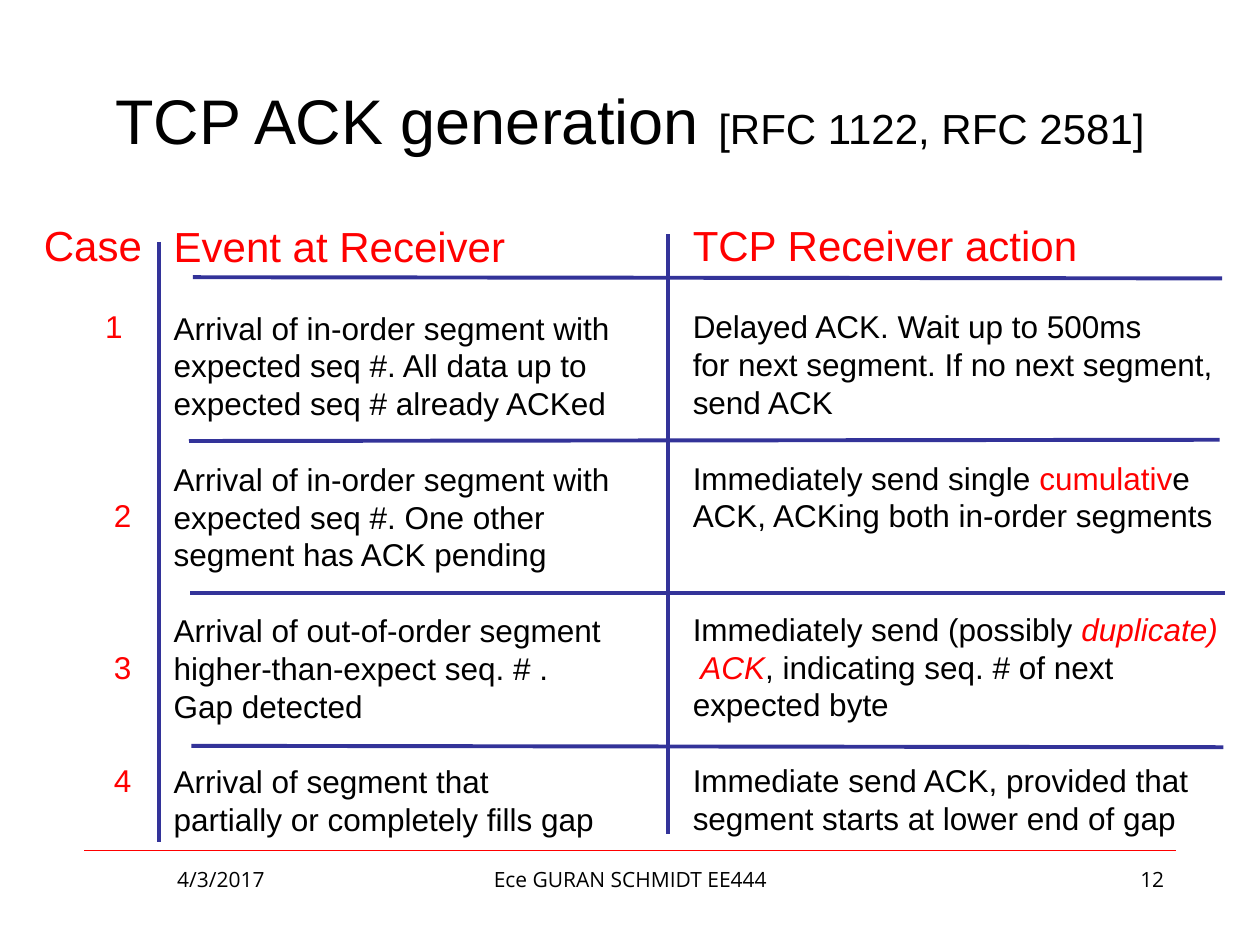
import pptx
import pptx.dml.color
import pptx.enum.shapes
import pptx.enum.text
import pptx.oxml.ns
import pptx.util
from lxml import etree

Pt = pptx.util.Pt
ALIGN = pptx.enum.text.PP_ALIGN
ANCHOR = pptx.enum.text.MSO_ANCHOR
BLACK, RED, NAVY = "000000", "FF0000", "333399"
LEADING = 1.2


def rgb(value):
    return pptx.dml.color.RGBColor.from_string(value)


class SlideBuilder:
    """Hold the slide and its type style, and add each kind of element."""

    def __init__(self, prs, font="Arial", heading=24, body=18):
        self.s = prs.slides.add_slide(prs.slide_layouts[6])
        self.font, self.heading, self.body = font, heading, body

    def line(self, x1, y1, x2, y2, color=NAVY, width=2.25):
        sp = self.s.shapes.add_connector(
            pptx.enum.shapes.MSO_CONNECTOR.STRAIGHT, Pt(x1), Pt(y1), Pt(x2), Pt(y2))
        sp.line.color.rgb = rgb(color)
        sp.line.width = Pt(width)
        etree.SubElement(sp._element.spPr, pptx.oxml.ns.qn("a:effectLst"))

    def box(self, x, y, w, h, anchor=ANCHOR.TOP, wrap=True):
        tf = self.s.shapes.add_textbox(Pt(x), Pt(y), Pt(w), Pt(h)).text_frame
        tf.word_wrap = wrap
        tf.vertical_anchor = anchor
        return tf

    def run(self, p, text, size, color=BLACK, italic=False, font=None):
        r = p.add_run()
        r.text = text
        r.font.name = font or self.font
        r.font.size = Pt(size)
        r.font.color.rgb = rgb(color)
        r.font.italic = italic

    def label(self, x, y, w, h, runs, align, anchor=ANCHOR.TOP, font=None):
        p = self.box(x, y, w, h, anchor).paragraphs[0]
        p.alignment = align
        for text, size in runs:
            self.run(p, text, size, font=font)

    def column(self, x, y, w, h, heading, blocks):
        tf = self.box(x, y, w, h, wrap=False)
        p = tf.paragraphs[0]
        p.line_spacing = Pt(self.heading * LEADING)
        self.run(p, heading, self.heading, RED)
        pitch = self.body * LEADING
        for gap, indent, lines in blocks:
            for i, runs in enumerate(lines):
                p = tf.add_paragraph()
                p.line_spacing = Pt(pitch)
                p.space_before = Pt(0 if i else gap * pitch)
                if indent:
                    p._p.get_or_add_pPr().set("marL", str(Pt(indent)))
                for text, *style in [(runs,)] if isinstance(runs, str) else runs:
                    self.run(p, text, self.body, *style)


CASES = [(1, 35, [[("1", RED)]]), (4, 40, [[("2", RED)]]),
         (3, 40, [[("3", RED)]]), (2, 40, [[("4", RED)]])]

EVENTS = [
    (1, 0, ["Arrival of in-order segment with",
            "expected seq #. All data up to",
            "expected seq # already ACKed"]),
    (1, 0, ["Arrival of in-order segment with",
            "expected seq #. One other",
            "segment has ACK pending"]),
    (1, 0, ["Arrival of out-of-order segment",
            "higher-than-expect seq. # .",
            "Gap detected"]),
    (1, 0, ["Arrival of segment that",
            "partially or completely fills gap"]),
]

ACTIONS = [
    (1, 0, ["Delayed ACK. Wait up to 500ms",
            "for next segment. If no next segment,",
            "send ACK"]),
    (1, 0, [[("Immediately send single ",), ("cumulativ", RED), ("e",)],
            "ACK, ACKing both in-order segments"]),
    (2, 0, [[("Immediately send (possibly ",), ("duplicate)", RED, True)],
            [(" ACK", RED, True), (", indicating seq. # of next",)],
            "expected byte"]),
    (1, 0, ["Immediate send ACK, provided that",
            "segment starts at lower end of gap"]),
]

ROW_RULES = [(110.2, 158.4, 698.4, 159.1), (108, 252, 697, 251.3),
             (108.7, 339.1, 699.8, 339.1), (109.4, 426.2, 699.1, 427)]
COLUMN_RULES = [(381.6, 133.9, 381.6, 476.6), (90.7, 138.2, 90.7, 481)]

FOOTERS = [(48.2, 156.2, "4/3/2017", ALIGN.CENTER),
           (246.2, 228.2, "Ece GURAN SCHMIDT EE444", ALIGN.CENTER),
           (516.2, 156.2, "12", ALIGN.RIGHT)]


def main():
    prs = pptx.Presentation()
    prs.slide_width, prs.slide_height = Pt(720), Pt(540)
    slide = SlideBuilder(prs)
    slide.line(48.2, 486, 671.8, 486, RED, 0.25)
    for x, w, text, align in FOOTERS:
        slide.label(x, 491.8, w, 37.4, [(text, 12)], align, font="Open Sans")
    title = [("TCP ACK generation", 36), (" ", 40), ("[RFC 1122, RFC 2581]", 24)]
    slide.label(36, 21.6, 648, 90, title, ALIGN.CENTER, ANCHOR.MIDDLE)
    slide.column(92.2, 122.4, 263.5, 393.8, "Event at Receiver", EVENTS)
    slide.column(388.8, 121.7, 319.7, 397.4, "TCP Receiver action", ACTIONS)
    slide.column(18, 121.7, 71.3, 375.8, "Case", CASES)
    for rule in ROW_RULES + COLUMN_RULES:
        slide.line(*rule)
    prs.save("out.pptx")


if __name__ == "__main__":
    main()
